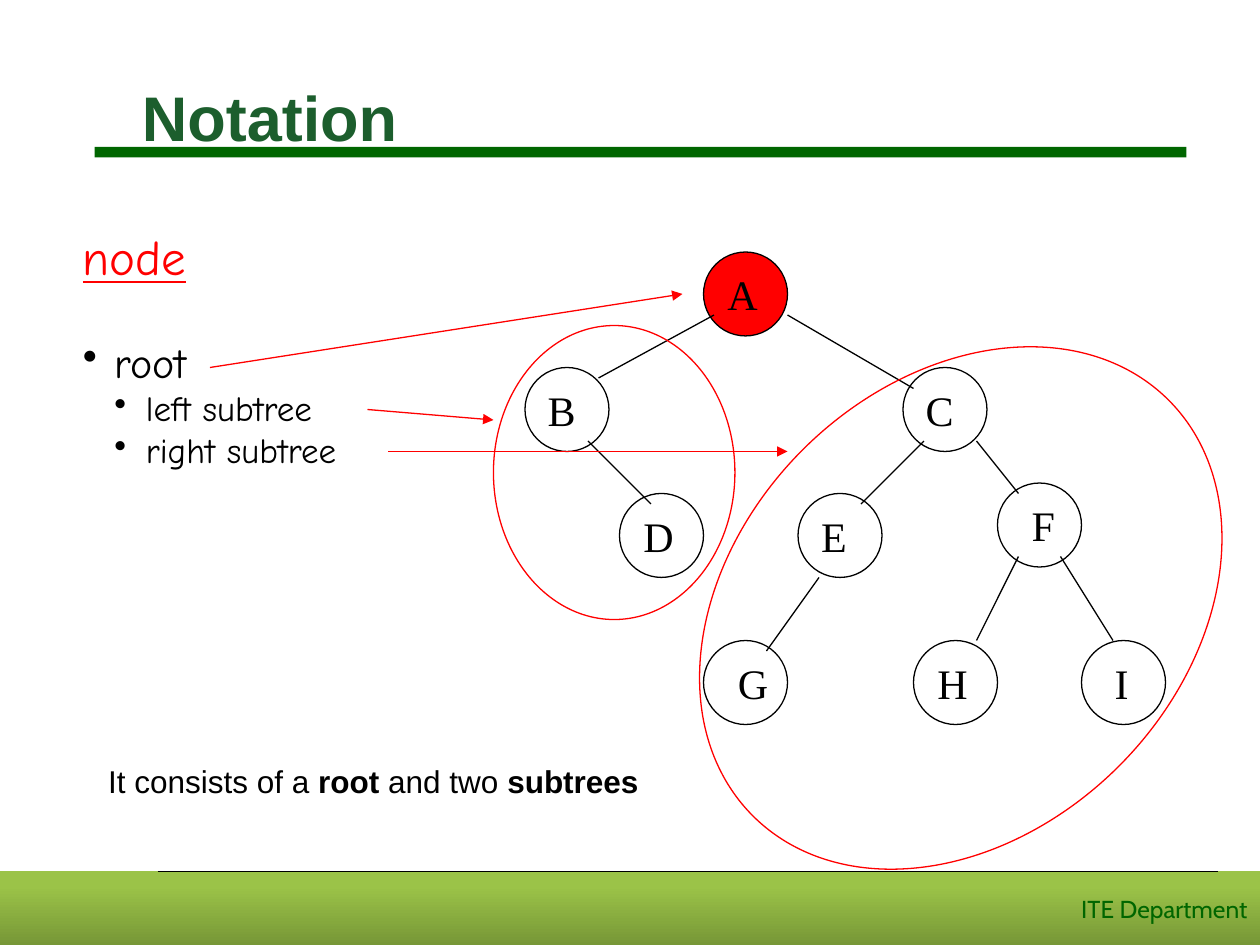
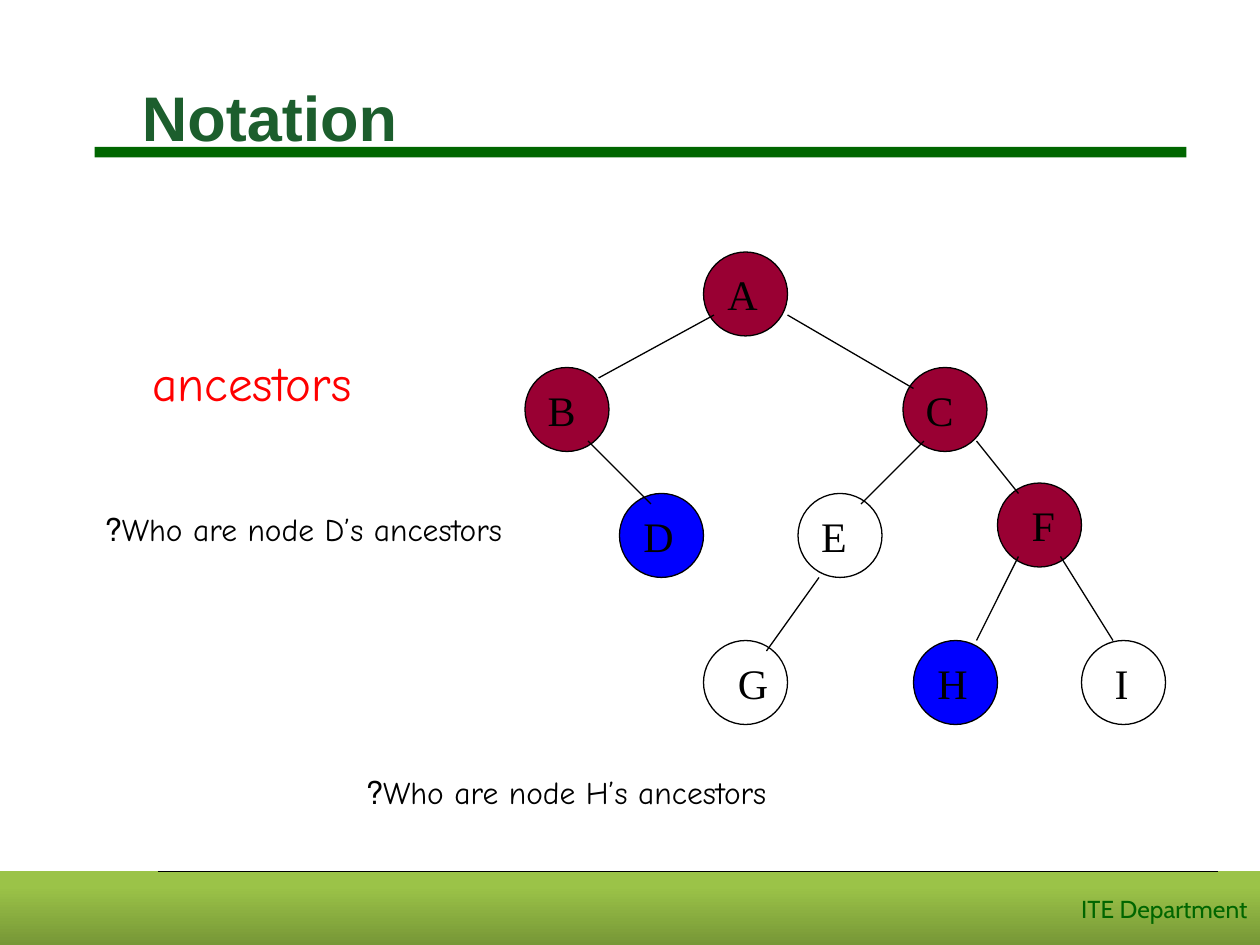
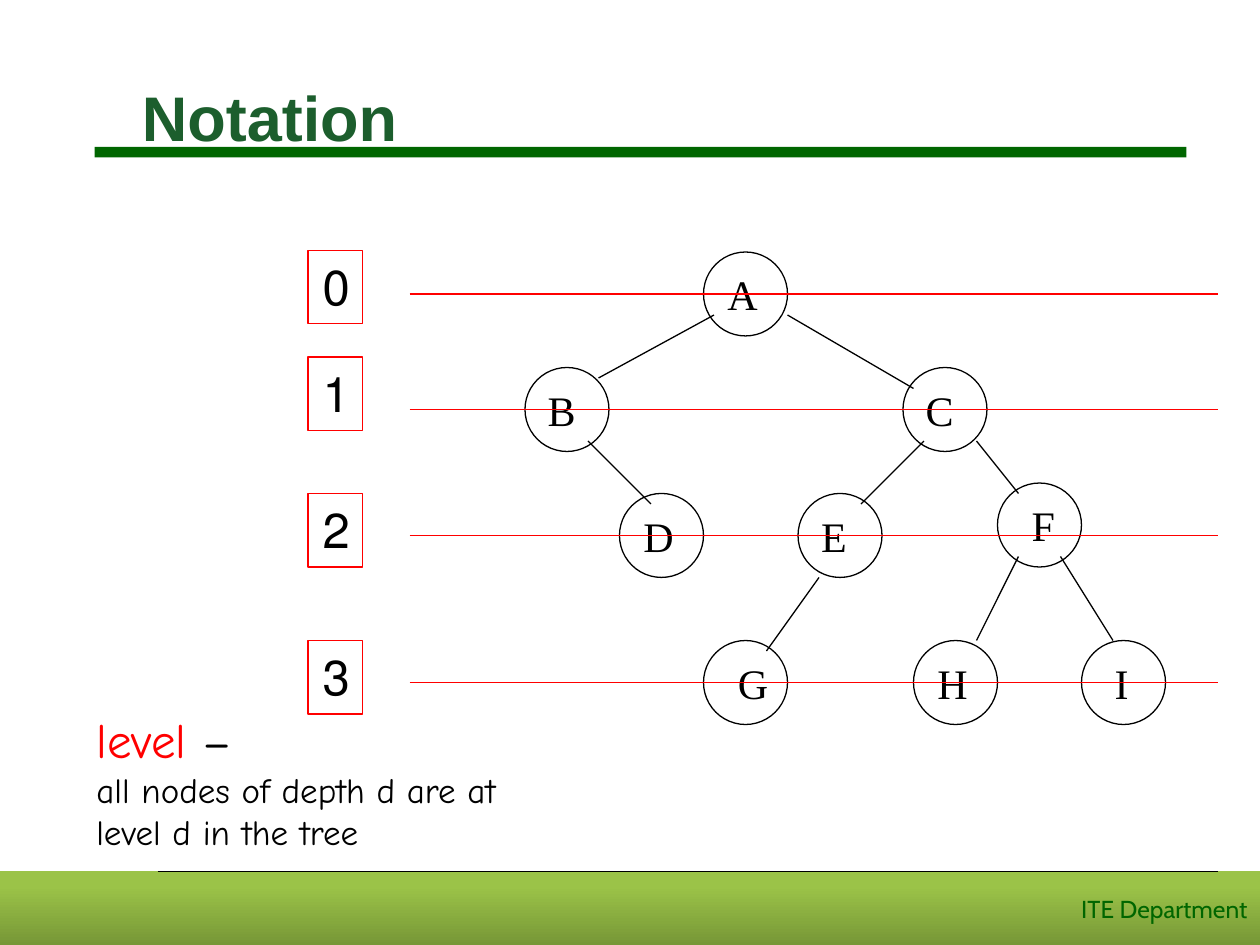
"""Build three slides that explain binary tree notation."""
from lxml.etree import SubElement
from pptx import Presentation
from pptx.dml.color import RGBColor
from pptx.enum.shapes import MSO_CONNECTOR, MSO_SHAPE
from pptx.enum.text import MSO_ANCHOR, MSO_AUTO_SIZE, PP_ALIGN
from pptx.oxml.ns import qn
from pptx.util import Pt

COLORS = {
    "black": "000000",
    "red": "FF0000",
    "blue": "0000FF",
    "crimson": "990033",
    "title": "1C5E2D",
    "green": "006600",
    "band_dark": "779737",
    "band_light": "9BC348",
}
COLORS = {name: RGBColor.from_string(value) for name, value in COLORS.items()}

NODE_SIZE = 48
NODES = {
    "A": (402, 144), "B": (300, 210), "C": (516, 210),
    "D": (354, 282), "E": (456, 282), "F": (570, 276),
    "G": (402, 366), "H": (522, 366), "I": (618, 366),
}
LABEL_WIDTHS = {"B": 30, "C": 30, "E": 29, "F": 28, "I": 22}
EDGES = [
    ((408, 180), (342, 216)), ((450, 180), (522, 222)),
    ((336, 252), (372, 288)), ((528, 252), (492, 288)),
    ((558, 252), (582, 282)), ((468, 330), (438, 372)),
    ((582, 318), (558, 366)), ((606, 318), (636, 366)),
]
NODE_FILLS = [
    {"A": "red"},
    {**dict.fromkeys("ABCF", "crimson"), **dict.fromkeys("DH", "blue")},
    {},
]


def write(frame, text, size=24, color="black", font="Comic Neue", bold=False,
          underline=False, rtl=False, wrap=True, grow=True, same_line=False,
          bullet=False, level=0, margin=0, space_before=0):
    """Append text to a frame, in a new paragraph unless same_line is set."""
    frame.word_wrap = wrap
    frame.auto_size = MSO_AUTO_SIZE.SHAPE_TO_FIT_TEXT if grow else MSO_AUTO_SIZE.NONE
    paragraph = frame.paragraphs[-1]
    if paragraph.runs and not same_line:
        paragraph = frame.add_paragraph()
    if not same_line:
        paragraph.alignment = PP_ALIGN.RIGHT if rtl else PP_ALIGN.LEFT
        paragraph.level = level
        paragraph.space_before = Pt(space_before)
        properties = paragraph._p.get_or_add_pPr()
        properties.set("rtl", str(int(rtl)))
        properties.set("marL", str(Pt(margin)))
        properties.set("indent", str(Pt(-18 if bullet else 0)))
        if bullet:
            SubElement(properties, qn("a:buChar")).set("char", "•")
    run = paragraph.add_run()
    run.text = text
    run.font.size = Pt(size)
    run.font.name = font
    run.font.bold = bold
    run.font.underline = underline
    run.font.color.rgb = COLORS[color]


def add_line(slide, start, end, color="black", arrow=False):
    """Draw a thin straight line, with an arrowhead at its end if asked."""
    points = [Pt(value) for value in (*start, *end)]
    line = slide.shapes.add_connector(MSO_CONNECTOR.STRAIGHT, *points)
    line.line.color.rgb = COLORS[color]
    line.line.width = Pt(0.75)
    if arrow:
        SubElement(line.line._get_or_add_ln(), qn("a:tailEnd")).set("type", "triangle")
    SubElement(line._element.spPr, qn("a:effectLst"))


presentation = Presentation()
presentation.slide_width = Pt(720)
presentation.slide_height = Pt(540)

for fills in NODE_FILLS:
    slide = presentation.slides.add_slide(presentation.slide_layouts[6])

    footer = slide.shapes.add_shape(MSO_SHAPE.RECTANGLE, Pt(0), Pt(498), Pt(720), Pt(42))
    footer.shadow.inherit = False
    footer.line.fill.background()
    footer.fill.gradient()
    footer.fill.gradient_angle = 90
    for stop, color, position in zip(footer.fill.gradient_stops, ("band_dark", "band_light"), (0, 0.8)):
        stop.color.rgb = COLORS[color]
        stop.position = position
    footer.text_frame.vertical_anchor = MSO_ANCHOR.MIDDLE
    write(footer.text_frame, "ITE Department", size=14, font="Cabin", color="green", rtl=True, grow=False)
    add_line(slide, (90, 498), (696, 498))

    title_bar = slide.shapes.add_shape(MSO_SHAPE.RECTANGLE, Pt(54), Pt(84), Pt(624), Pt(6))
    title_bar.shadow.inherit = False
    title_bar.line.fill.background()
    title_bar.fill.solid()
    title_bar.fill.fore_color.rgb = COLORS["green"]

    title = slide.shapes.add_textbox(Pt(36), Pt(21.6), Pt(648), Pt(90)).text_frame
    title.vertical_anchor = MSO_ANCHOR.MIDDLE
    write(title, "Notation", size=36, font="Arial", color="title", bold=True, margin=38, grow=False)

    for name, (left, top) in NODES.items():
        node = slide.shapes.add_shape(MSO_SHAPE.OVAL, Pt(left), Pt(top), Pt(NODE_SIZE), Pt(NODE_SIZE))
        node.shadow.inherit = False
        node.line.color.rgb = COLORS["black"]
        node.line.width = Pt(0.75)
        if name in fills:
            node.fill.solid()
            node.fill.fore_color.rgb = COLORS[fills[name]]
        else:
            node.fill.background()

    for start, end in EDGES:
        add_line(slide, start, end)

    for name, (left, top) in NODES.items():
        offset = 12 if name in "FGI" else 6
        label = slide.shapes.add_textbox(
            Pt(left + offset), Pt(top + 6), Pt(LABEL_WIDTHS.get(name, 32)), Pt(36))
        write(label.text_frame, name, font="Times New Roman", rtl=True, wrap=False)

parts_slide, ancestors_slide, levels_slide = presentation.slides

terms = parts_slide.shapes.add_textbox(Pt(40.3), Pt(126), Pt(186), Pt(147.6)).text_frame
write(terms, "node", size=28, color="red", underline=True, wrap=False)
write(terms, "root", bullet=True, margin=18, space_before=29, wrap=False)
for subtree in ("left subtree", "right subtree"):
    write(terms, subtree, size=20, bullet=True, level=1, margin=36, wrap=False)

for box, rotation in (((282, 186, 138, 168), 0), ((381, 219.6, 336, 255.6), 135)):
    subtree_outline = parts_slide.shapes.add_shape(MSO_SHAPE.OVAL, *[Pt(value) for value in box])
    subtree_outline.rotation = rotation
    subtree_outline.shadow.inherit = False
    subtree_outline.fill.background()
    subtree_outline.line.color.rgb = COLORS["red"]
    subtree_outline.line.width = Pt(0.75)

for start, end in (((120, 210), (390, 168)), ((210, 234), (282, 240)), ((222, 258), (450, 258))):
    add_line(parts_slide, start, end, color="red", arrow=True)

summary = parts_slide.shapes.add_textbox(Pt(54), Pt(432), Pt(318), Pt(29)).text_frame
for index, words in enumerate(("It consists of a ", "root ", "and two ", "subtrees")):
    write(summary, words, size=18, font="Arial", bold=index % 2 == 1, rtl=True, same_line=index > 0)

for text, size, color, box in (
    ("ancestors", 28, "red", (66, 198, 142, 41)),
    ("Who are node D’s ancestors?", 18, "black", (36, 288, 258, 29)),
    ("Who are node H’s ancestors?", 18, "black", (186, 438, 259, 29)),
):
    question = ancestors_slide.shapes.add_textbox(*[Pt(value) for value in box])
    write(question.text_frame, text, size=size, color=color, rtl=True, wrap=False)

definition = levels_slide.shapes.add_textbox(Pt(48), Pt(402), Pt(258), Pt(88.6)).text_frame
write(definition, "level", size=28, color="red")
write(definition, " –", size=28, same_line=True)
write(definition, "all nodes of depth d are at level d in the tree", size=20)

for level, (line_top, box_top) in enumerate(((168, 143), (234, 204), (306, 282), (390, 366))):
    add_line(levels_slide, (234, line_top), (696, line_top), color="red")
    level_box = levels_slide.shapes.add_shape(MSO_SHAPE.RECTANGLE, Pt(176), Pt(box_top), Pt(31), Pt(42))
    level_box.shadow.inherit = False
    level_box.fill.background()
    level_box.line.color.rgb = COLORS["red"]
    level_box.line.width = Pt(0.75)
    level_box.text_frame.vertical_anchor = MSO_ANCHOR.TOP
    write(level_box.text_frame, str(level), size=28, font="Arial", rtl=True, wrap=False)

presentation.save("out.pptx")
